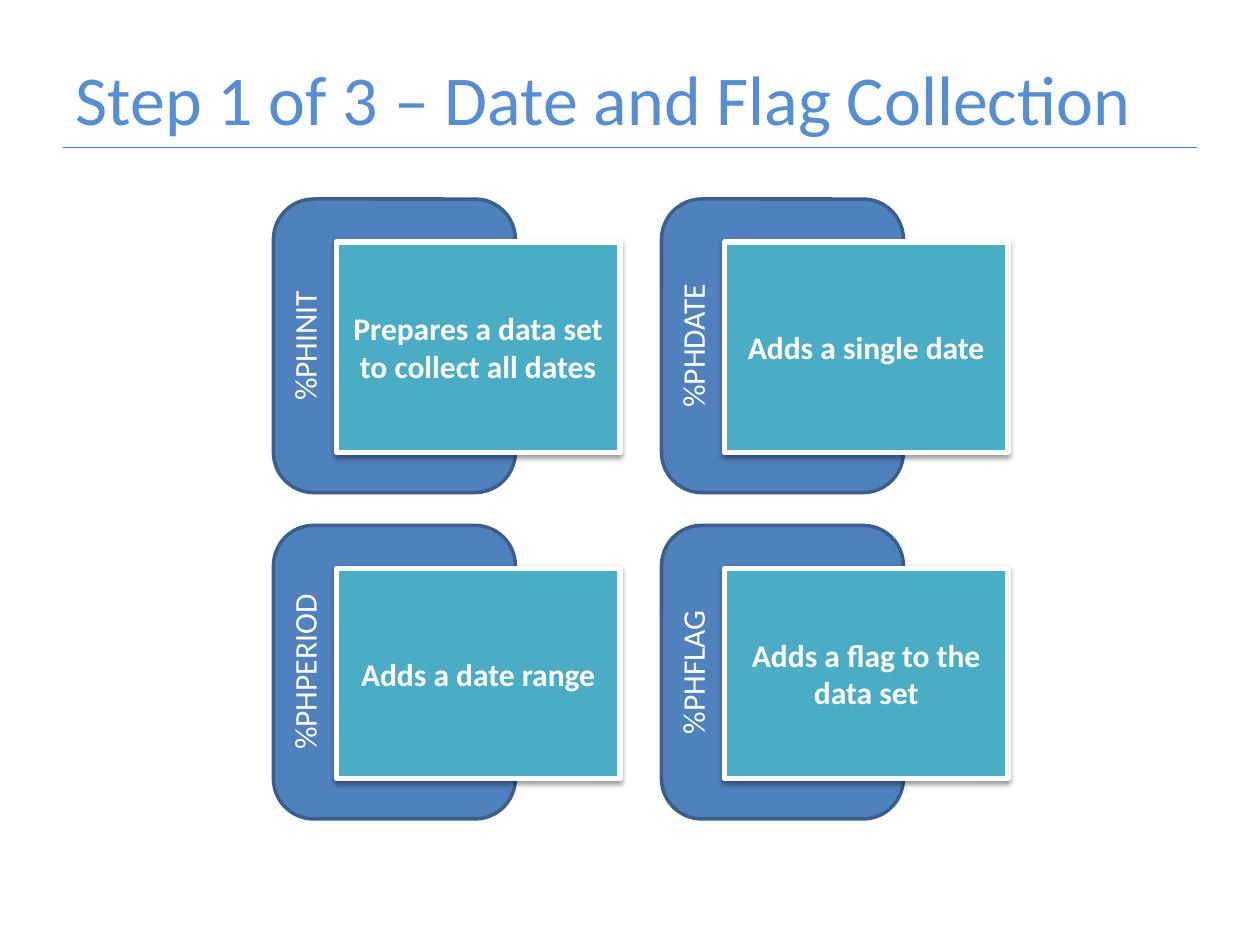
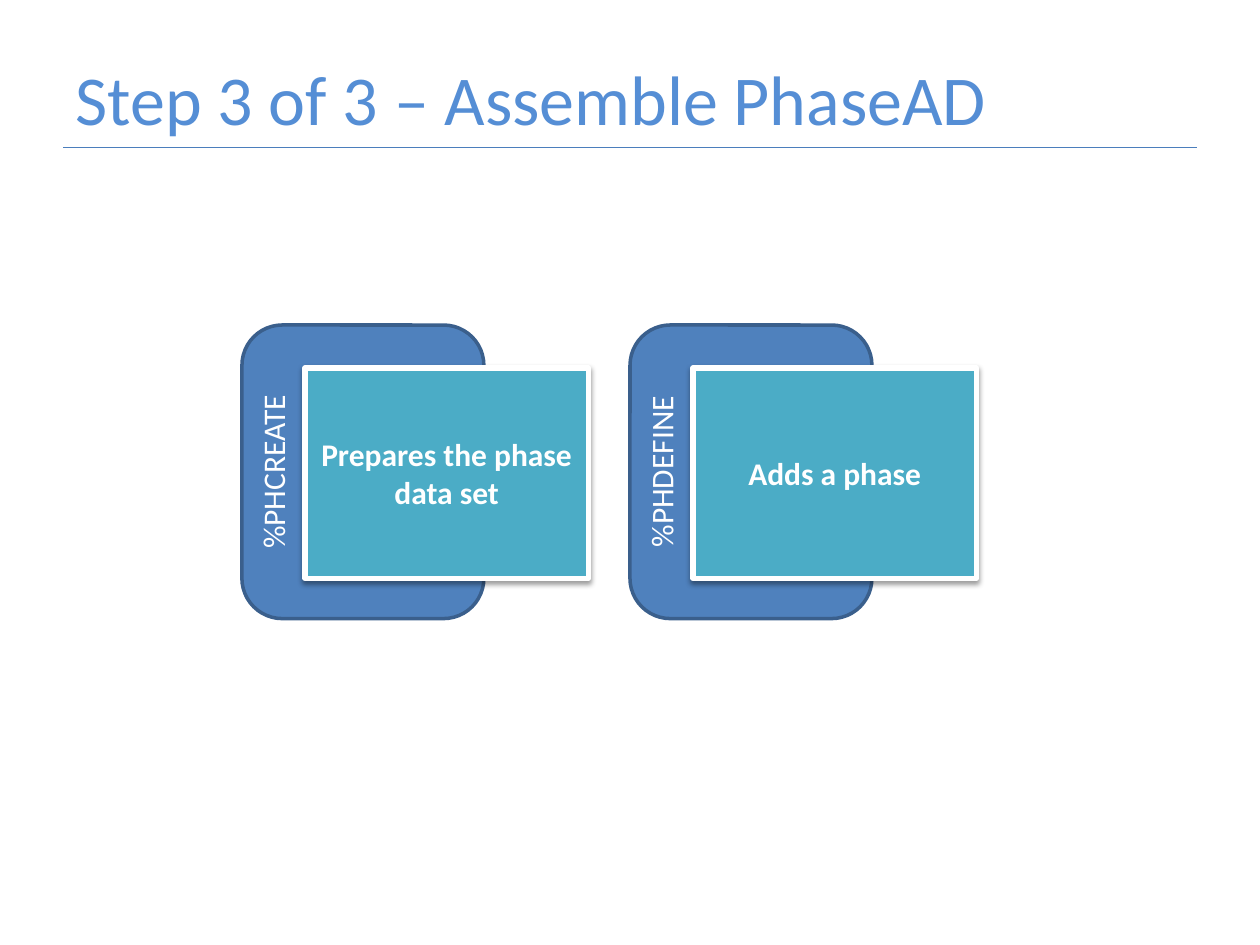
"""Builds two slides of macro cards under a ruled title."""
import pptx
import pptx.util
import pptx.dml.color
import pptx.enum.shapes
import pptx.enum.text
import pptx.oxml
import pptx.oxml.ns

SLIDES = [
    {"title": "Step 1 of 3 – Date and Flag Collection", "start": (2.17, 1.58),
     "cards": [("%PHINIT", "Prepares a data set to collect all dates"),
               ("%PHDATE", "Adds a single date"),
               ("%PHPERIOD", "Adds a date range"),
               ("%PHFLAG", "Adds a flag to the data set")]},
    {"title": "Step 3 of 3 – Assemble PhaseAD", "start": (1.92, 2.58),
     "cards": [("%PHCREATE", "Prepares the phase data set"),
               ("%PHDEFINE", "Adds a phase")]},
]
THEME = {"font": "Calibri", "title": "558ED5", "rule": "4B7EBC",
         "tab": "4F81BD", "edge": "3A5F8C", "note": "4BACC6",
         "white": "FFFFFF", "head": 40, "body": 18}
COLS = 2
STEP = (3.08, 2.59)
TAB = (1.92, 2.33)
NOTE = (2.25, 1.67)
SHIFT = (0.5, 0.34)

Inches, Pt = pptx.util.Inches, pptx.util.Pt
Kind = pptx.enum.shapes.MSO_SHAPE
Anchor = pptx.enum.text.MSO_ANCHOR
Align = pptx.enum.text.PP_ALIGN
SHADOW = ('<a:effectLst %s><a:outerShdw blurRad="%d" dist="%d" dir="5400000" rotWithShape="0">'
          '<a:srgbClr val="000000"><a:alpha val="38000"/></a:srgbClr></a:outerShdw></a:effectLst>'
          % (pptx.oxml.ns.nsdecls("a"), Pt(3.1), Pt(1.6)))


def tint(name):
    return pptx.dml.color.RGBColor.from_string(THEME[name])


def edge(line, name, width):
    line.color.rgb = tint(name)
    line.width = Pt(width)


def write(shape, text, size, name, align, anchor, inset, bold=False):
    frame = shape.text_frame
    frame.text = text
    frame.word_wrap = True
    frame.auto_size = pptx.enum.text.MSO_AUTO_SIZE.NONE
    frame.vertical_anchor = anchor
    (frame.margin_left, frame.margin_top,
     frame.margin_right, frame.margin_bottom) = map(Inches, inset)
    para = frame.paragraphs[0]
    para.alignment = align
    font = para.font
    font.name, font.size, font.bold = THEME["font"], Pt(THEME[size]), bold
    font.color.rgb = tint(name)


def box(slide, kind, place, size, fill, line, width):
    shape = slide.shapes.add_shape(kind, *map(Inches, place + size))
    shape.shadow.inherit = False
    shape.fill.solid()
    shape.fill.fore_color.rgb = tint(fill)
    edge(shape.line, line, width)
    return shape


def card(slide, left, top, label, text):
    tab = box(slide, Kind.ROUNDED_RECTANGLE, (left, top), TAB, "tab", "edge", 2)
    write(tab, label, "body", "white", Align.CENTER, Anchor.TOP, (0, 0.05, 0.1, 0.05))
    tab.text_frame._txBody.bodyPr.set("vert", "vert270")
    place = (left + SHIFT[0], top + SHIFT[1])
    note = box(slide, Kind.RECTANGLE, place, NOTE, "note", "white", 3)
    write(note, text, "body", "white", Align.CENTER, Anchor.MIDDLE,
          (0.1, 0.05, 0.1, 0.05), True)
    props = note.element.spPr
    props.replace(props.find(pptx.oxml.ns.qn("a:effectLst")), pptx.oxml.parse_xml(SHADOW))


def header(slide, text):
    title = slide.shapes.title
    title.left, title.top, title.width, title.height = map(Inches, (0.5, 0.3, 9, 0.95))
    edge(title.line, "white", 3)
    write(title, text, "head", "title", Align.LEFT, Anchor.MIDDLE, (0.1, 0, 0.1, 0))
    rule = slide.shapes.add_connector(pptx.enum.shapes.MSO_CONNECTOR.STRAIGHT,
                                      *map(Inches, (0.5, 1.17, 9.5, 1.17)))
    edge(rule.line, "rule", 0.75)
    rule.element.spPr.append(pptx.oxml.parse_xml(
        "<a:effectLst %s/>" % pptx.oxml.ns.nsdecls("a")))


deck = pptx.Presentation()
deck.slide_width, deck.slide_height = Inches(10), Inches(7.5)
for page in SLIDES:
    slide = deck.slides.add_slide(deck.slide_layouts.get_by_name("Title Only"))
    header(slide, page["title"])
    left, top = page["start"]
    for spot, (label, text) in enumerate(page["cards"]):
        row, col = divmod(spot, COLS)
        card(slide, left + col * STEP[0], top + row * STEP[1], label, text)
deck.save("out.pptx")
